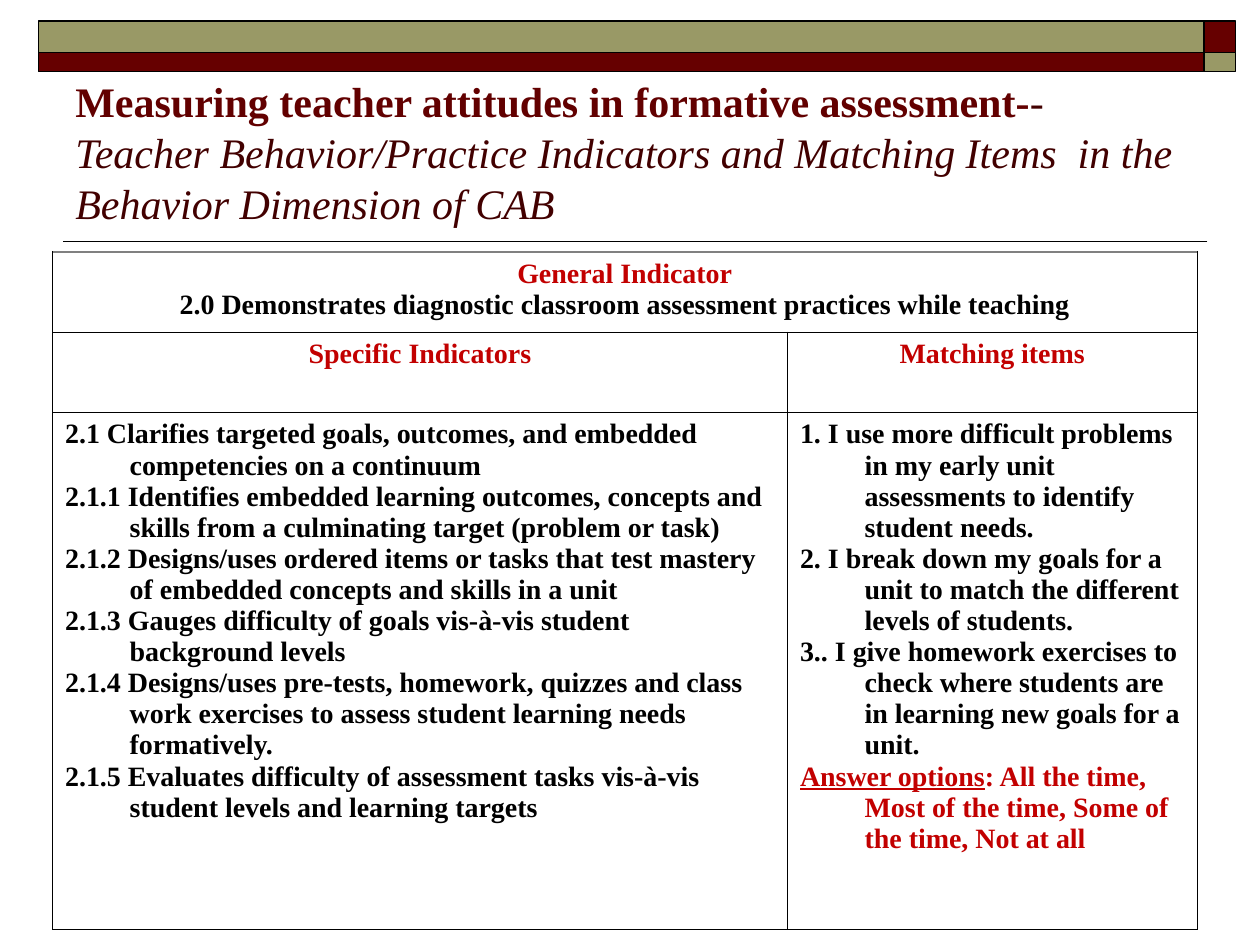
"""Build the slide on teacher behavior indicators and their matching items."""
from lxml.etree import SubElement
from pptx import Presentation
from pptx.dml.color import RGBColor
from pptx.enum.shapes import MSO_CONNECTOR, MSO_SHAPE
from pptx.enum.text import MSO_ANCHOR, PP_ALIGN
from pptx.oxml import parse_xml
from pptx.oxml.ns import nsdecls, qn
from pptx.util import Pt


def color(hex_value):
    return RGBColor.from_string(hex_value)


def add_run(paragraph, text, hex_value, **formats):
    run = paragraph.add_run()
    run.text = text
    run.font.color.rgb = color(hex_value)
    for name, value in ({"name": "Times New Roman"} | formats).items():
        setattr(run.font, name, value)


BLACK, RED, MAROON, OLIVE = "000000", "C20000", "660000", "999966"

deck = Presentation()
deck.slide_width, deck.slide_height = Pt(720), Pt(540)
slide = deck.slides.add_slide(deck.slide_layouts[6])

divider = slide.shapes.add_connector(
    MSO_CONNECTOR.STRAIGHT, Pt(690), Pt(138), Pt(36), Pt(138))
divider.line.color.rgb = color(BLACK)
divider.line.width = Pt(1)
SubElement(divider._element.spPr, qn("a:effectLst"))

band_columns = [(22, 666), (688, 18)]
band_rows = [(12, 18, (OLIVE, MAROON)), (30, 11, (MAROON, OLIVE))]
for top, height, fills in band_rows:
    for (left, width), fill in zip(band_columns, fills):
        band = slide.shapes.add_shape(
            MSO_SHAPE.RECTANGLE, Pt(left), Pt(top), Pt(width), Pt(height))
        band.shadow.inherit = False
        band.fill.solid()
        band.fill.fore_color.rgb = color(fill)
        band.line.color.rgb = color(BLACK)
        band.line.width = Pt(1)

title = slide.shapes.add_textbox(Pt(36), Pt(42), Pt(648), Pt(90)).text_frame
title_format = {"word_wrap": True, "vertical_anchor": MSO_ANCHOR.BOTTOM,
                "margin_bottom": Pt(2)}
for name, value in title_format.items():
    setattr(title, name, value)
heading = title.paragraphs[0]
heading.line_spacing = Pt(28.9)
add_run(heading, "Measuring teacher attitudes in formative assessment-", "620000",
        size=Pt(24), bold=True)
add_run(heading, "-", "420000", size=Pt(24))
heading.add_line_break()
add_run(heading, "Teacher Behavior/Practice Indicators and Matching Items  in the "
        "Behavior Dimension of CAB", "420000", size=Pt(24), italic=True)

general_indicator = [
    [("General Indicator", RED)],
    [("2.0 Demonstrates diagnostic classroom assessment practices while teaching", BLACK)],
]
specific_indicators = [[(text, BLACK)] for text in (
    "2.1 Clarifies targeted goals, outcomes, and embedded competencies on a continuum",
    "2.1.1 Identifies embedded learning outcomes, concepts and skills from a "
    "culminating target (problem or task)",
    "2.1.2 Designs/uses ordered items or tasks that test mastery of embedded "
    "concepts and skills in a unit",
    "2.1.3 Gauges difficulty of goals vis-à-vis student background levels",
    "2.1.4 Designs/uses pre-tests, homework, quizzes and class work exercises to "
    "assess student learning needs formatively.",
    "2.1.5 Evaluates difficulty of assessment tasks vis-à-vis student levels and "
    "learning targets",
)]
matching_items = [[(text, BLACK)] for text in (
    "1. I use more difficult problems in my early unit assessments to identify "
    "student needs.",
    "2. I break down my goals for a unit to match the different levels of students.",
    "3.. I give homework exercises to check where students are in learning new "
    "goals for a unit.",
)]
answer_options = [
    ("Answer options", RED, True),
    (": All the time, Most of the time, Some of the time, Not at all", RED),
]
contents = [
    [general_indicator, []],
    [[[("Specific Indicators", RED)]], [[("Matching items", RED)]]],
    [specific_indicators, matching_items + [answer_options]],
]

indicators = slide.shapes.add_table(
    3, 2, Pt(30), Pt(144), Pt(654), Pt(387)).table
indicators.first_row = indicators.horz_banding = False
for column, width in zip(indicators.columns, (420, 234)):
    column.width = Pt(width)
for row, height in zip(indicators.rows, (45.7, 46.1, 295.2)):
    row.height = Pt(height)
indicators.cell(0, 0).merge(indicators.cell(0, 1))

for row_index, row_contents in enumerate(contents):
    top_edge = ("808080", 0.96) if row_index == 0 else (BLACK, 0.45)
    edges = {"lnL": (BLACK, 0.34), "lnR": (BLACK, 0.34),
             "lnT": top_edge, "lnB": (BLACK, 0.45)}
    for column_index, entries in enumerate(row_contents):
        cell = indicators.cell(row_index, column_index)
        cell.fill.background()
        properties = cell._tc.get_or_add_tcPr()
        for position, (edge, (hex_value, width)) in enumerate(edges.items()):
            properties.insert(position, parse_xml(
                f'<a:{edge} {nsdecls("a")} w="{int(Pt(width))}"><a:solidFill>'
                f'<a:srgbClr val="{hex_value}"/></a:solidFill></a:{edge}>'))
        for number, entry in enumerate(entries):
            frame = cell.text_frame
            paragraph = frame.add_paragraph() if number else frame.paragraphs[0]
            paragraph.alignment = PP_ALIGN.LEFT if row_index == 2 else PP_ALIGN.CENTER
            hanging = paragraph._p.get_or_add_pPr()
            hanging.set("marL", str(int(Pt(36.9))))
            hanging.set("indent", str(int(Pt(-36.9))))
            for text, hex_value, *underlined in entry:
                add_run(paragraph, text, hex_value, size=Pt(16), bold=True,
                        underline=bool(underlined))

deck.save("out.pptx")
